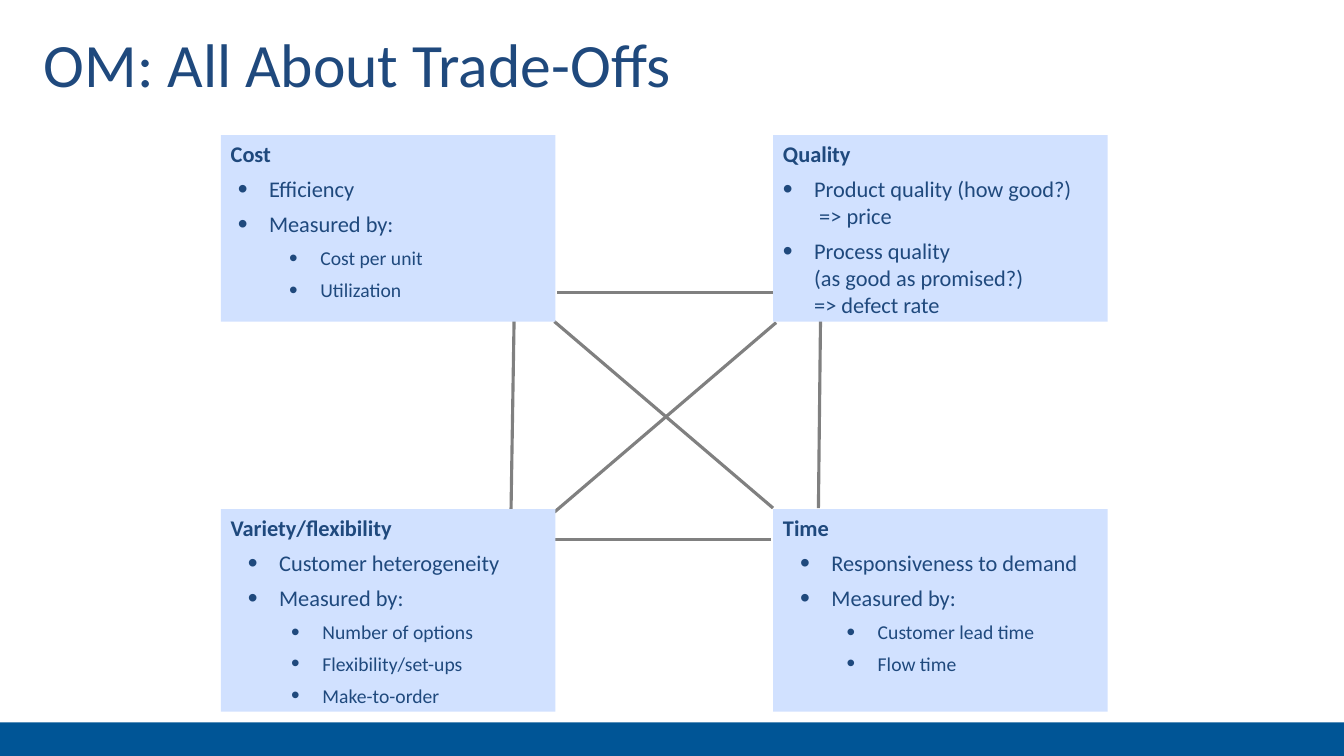
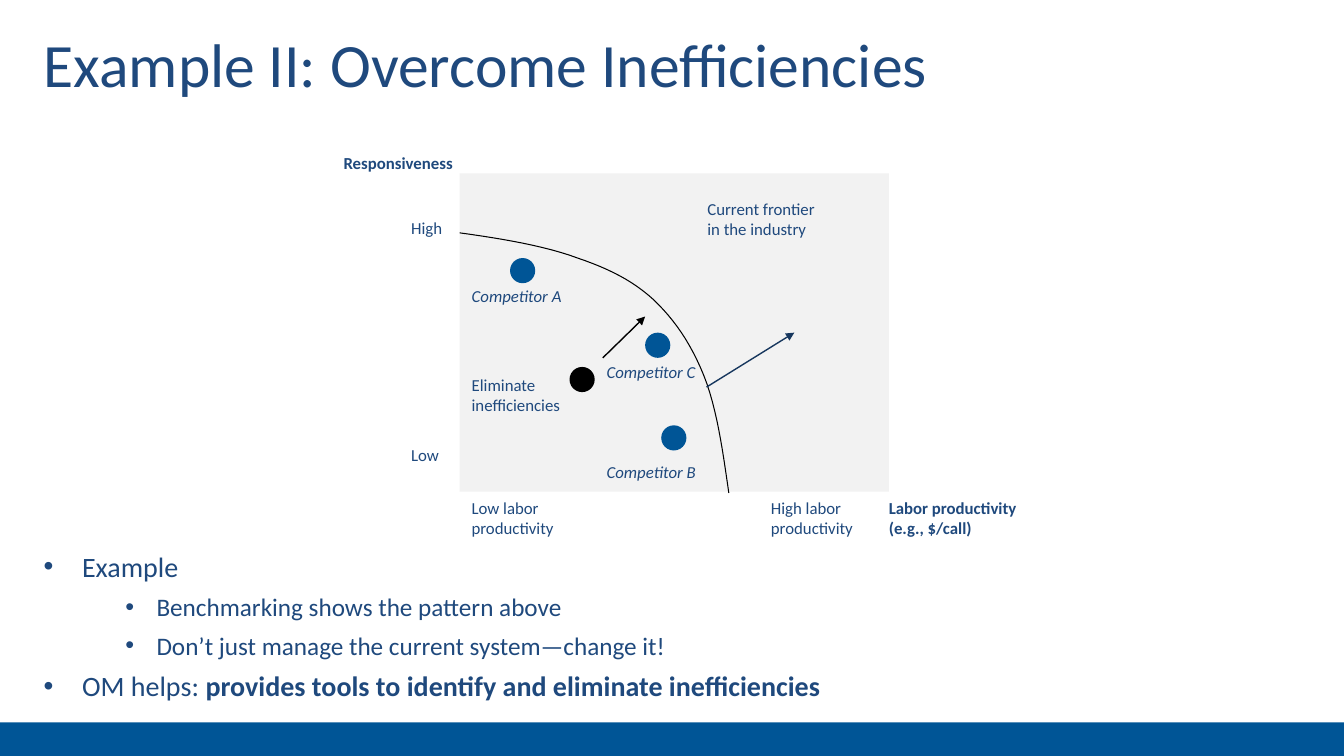
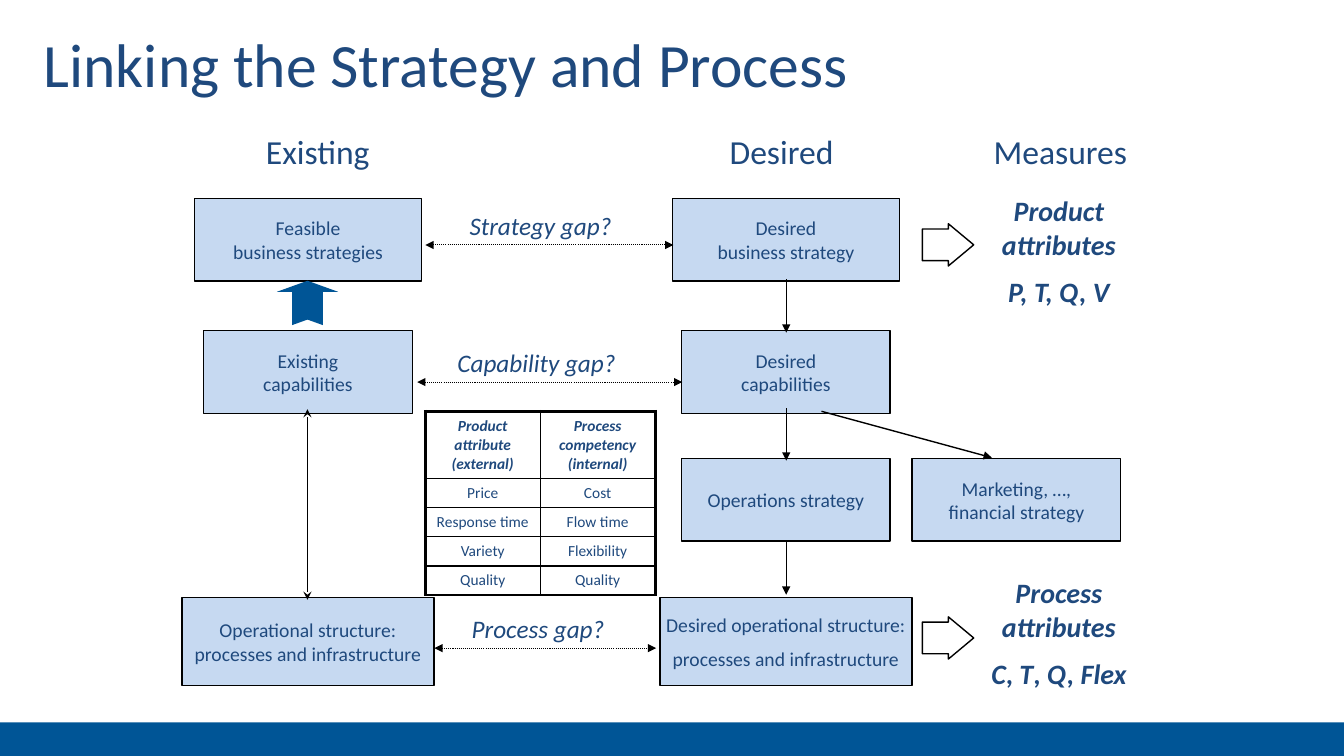
from lxml import etree
from pptx import Presentation
from pptx.dml.color import RGBColor
from pptx.enum.dml import MSO_LINE
from pptx.enum.shapes import MSO_CONNECTOR, MSO_SHAPE
from pptx.enum.text import MSO_ANCHOR, MSO_AUTO_SIZE, PP_ALIGN
from pptx.oxml.ns import qn
from pptx.util import Pt

RECT, OVAL = MSO_SHAPE.RECTANGLE, MSO_SHAPE.OVAL
RIGHT_ARROW, NOTCHED = MSO_SHAPE.RIGHT_ARROW, MSO_SHAPE.NOTCHED_RIGHT_ARROW
STRAIGHT = MSO_CONNECTOR.STRAIGHT
DOTTED = MSO_LINE.ROUND_DOT
LEFT, CENTER = PP_ALIGN.LEFT, PP_ALIGN.CENTER
TOP, MIDDLE = MSO_ANCHOR.TOP, MSO_ANCHOR.MIDDLE
NO_FIT = MSO_AUTO_SIZE.NONE

FONT = "Calibri"
TEXT, BRAND, BLACK, WHITE = "1F497D", "005596", "000000", "FFFFFF"
PANEL, BOX, PLOT = "D1E1FF", "C6D9F1", "F2F2F2"
HANG = 22.3

rgb = RGBColor.from_string


def write(tf, text, size, bold=False, italic=False, align=LEFT, before=0,
          indent=None, hang=HANG, bullet_size=100):
    first = tf.paragraphs[0]
    p = tf.add_paragraph() if first.runs else first
    p.alignment = align
    p.space_before = Pt(before if p is not first else 0)
    if indent is not None:
        pPr = p._p.get_or_add_pPr()
        pPr.set("marL", str(Pt(indent)))
        pPr.set("indent", str(-Pt(hang)))
        etree.SubElement(pPr, qn("a:buSzPct")).set("val", str(bullet_size * 1000))
        etree.SubElement(pPr, qn("a:buFont")).set("typeface", "Arial")
        etree.SubElement(pPr, qn("a:buChar")).set("char", "•")
    runs = [(text, bold, italic)] if isinstance(text, str) else text
    for words, b, i in runs:
        for n, line in enumerate(words.split("\n")):
            if n:
                p.add_line_break()
            r = p.add_run()
            r.text = line
            r.font.name = FONT
            r.font.size = Pt(size)
            r.font.bold = b
            r.font.italic = i
            r.font.color.rgb = rgb(TEXT)


def link(s, x1, y1, x2, y2, color=BLACK, width=1, dash=None, head=None, tail=None):
    sp = s.shapes.add_connector(STRAIGHT, Pt(x1), Pt(y1), Pt(x2), Pt(y2))
    sp.line.color.rgb = rgb(color)
    sp.line.width = Pt(width)
    if dash:
        sp.line.dash_style = dash
    spPr = sp.element.spPr
    for tag, kind in (("a:headEnd", head), ("a:tailEnd", tail)):
        if kind:
            etree.SubElement(spPr.find(qn("a:ln")), qn(tag)).set("type", kind)
    etree.SubElement(spPr, qn("a:effectLst"))


prs = Presentation()
prs.slide_width, prs.slide_height = Pt(960), Pt(540)

slides = []
for title, layout in (
    ("OM: All About Trade-Offs", 5),
    ("Example II: Overcome Inefficiencies", 1),
    ("Linking the Strategy and Process", 5),
):
    s = prs.slides.add_slide(prs.slide_layouts[layout])
    sp = s.shapes.title
    sp.left, sp.top, sp.width, sp.height = Pt(24), Pt(12), Pt(912), Pt(66)
    sp.text_frame.auto_size = NO_FIT
    sp.text_frame.vertical_anchor = MIDDLE
    write(sp.text_frame, title, 44)
    slides.append(s)
tradeoffs, frontier, strategy = slides

band = tradeoffs.shapes.add_shape(RECT, Pt(0), Pt(516), Pt(960), Pt(24))
band.fill.solid()
band.fill.fore_color.rgb = rgb(BRAND)
band.line.fill.background()
band.shadow.inherit = False
band.element.nvSpPr.cNvPr.id = 20
prs.slide_master.shapes.element.insert(2, band.element)

for ends in (
    (367.2, 229, 365, 366.5),
    (586.1, 228.2, 584.6, 362.9),
    (550.8, 385.2, 396.7, 385.2),
    (553, 208.8, 398.2, 208.8),
    (552.2, 362.9, 396, 229.7),
    (554.4, 230.4, 396, 365.8),
):
    link(tradeoffs, *ends, color="808080", width=2.25)

for x, y, h, heading, indent, points, sub_indent, subpoints in (
    (157.7, 96.5, 133.2, "Cost", 27.4, ("Efficiency", "Measured by:"),
     64.1, ("Cost per unit", "Utilization")),
    (552.2, 96.5, 133.2, "Quality", 22.3,
     ("Product quality (how good?)\n => price",
      "Process quality\n(as good as promised?)\n=> defect rate"), 0, ()),
    (157.7, 363.6, 144.7, "Variety/flexibility", 34.6,
     ("Customer heterogeneity", "Measured by:"),
     65.5, ("Number of options", "Flexibility/set-ups", "Make-to-order")),
    (552.2, 363.6, 144.7, "Time", 34.6, ("Responsiveness to demand", "Measured by:"),
     67.7, ("Customer lead time", "Flow time")),
):
    sp = tradeoffs.shapes.add_shape(RECT, Pt(x), Pt(y), Pt(239), Pt(h))
    sp.shadow.inherit = False
    sp.fill.solid()
    sp.fill.fore_color.rgb = rgb(PANEL)
    sp.line.fill.background()
    tf = sp.text_frame
    tf.word_wrap = True
    tf.vertical_anchor = TOP
    write(tf, heading, 16, bold=True)
    for point in points:
        write(tf, point, 16, before=6, indent=indent, bullet_size=125)
    for point in subpoints:
        write(tf, point, 14, before=6, indent=sub_indent, bullet_size=125)

for kind, x, y, w, h, color in (
    (RECT, 328.3, 123.8, 306.7, 227.5, PLOT),
    (OVAL, 364.3, 184.3, 18, 18, BRAND),
    (OVAL, 460.8, 237.6, 18, 18, BRAND),
    (OVAL, 472.3, 303.8, 18, 18, BRAND),
    (OVAL, 406.8, 262.1, 18, 18, BLACK),
):
    sp = frontier.shapes.add_shape(kind, Pt(x), Pt(y), Pt(w), Pt(h))
    sp.shadow.inherit = False
    sp.fill.solid()
    sp.fill.fore_color.rgb = rgb(color)
    sp.line.fill.background()

knots = [
    (328.3, 166.3), (359.3, 170.6), (389.5, 175.7), (412.6, 184.3),
    (435.6, 192.2), (451.4, 200.2), (466.6, 213.8),
    (481.7, 228.2), (493.2, 244.8), (502.6, 267.8),
    (511.9, 290.9), (516.2, 321.1), (520.6, 352.1),
]
STEPS = 12
curve = []
for k in range(0, len(knots) - 1, 3):
    for n in range(1, STEPS + 1):
        t = n / STEPS
        weights = ((1 - t) ** 3, 3 * t * (1 - t) ** 2, 3 * t * t * (1 - t), t ** 3)
        curve.append(tuple(
            Pt(sum(wt * pt[axis] for wt, pt in zip(weights, knots[k:k + 4])))
            for axis in (0, 1)
        ))
builder = frontier.shapes.build_freeform(Pt(knots[0][0]), Pt(knots[0][1]))
builder.add_line_segments(curve, close=False)
sp = builder.convert_to_shape()
sp.shadow.inherit = False
sp.fill.background()
sp.line.color.rgb = rgb(BLACK)
sp.line.width = Pt(0.75)

link(frontier, 430.6, 255.6, 460.8, 226.1, tail="triangle")
link(frontier, 504.7, 276.5, 567.4, 237.6, color="17375E", tail="triangle")

sp = frontier.placeholders[1]
sp.left, sp.top, sp.width, sp.height = Pt(24), Pt(388.8), Pt(912), Pt(121.7)
tf = sp.text_frame
tf.auto_size = NO_FIT
write(tf, "Example", 20, indent=27.4, hang=27.4)
for point in (
    "Benchmarking shows the pattern above",
    "Don’t just manage the current system—change it!",
):
    write(tf, point, 18, before=6, indent=80.6)
write(tf, [("OM helps: ", False, False),
           ("provides tools to identify and eliminate inefficiencies", True, False)],
      20, before=6, indent=27.4, hang=27.4)

EXISTING, DESIRED, MARKETING = 220, 561.4, 726.1
for cx, y, w, h, lines, before in (
    (EXISTING, 141.8, 162, 59, ("Feasible", "business strategies"), 0),
    (EXISTING, 236.2, 149, 59, ("Existing", "capabilities"), 0),
    (EXISTING, 427, 180, 62.6, ("Operational structure:", "processes and infrastructure"), 0),
    (DESIRED, 141.8, 162, 59, ("Desired", "business strategy"), 0),
    (DESIRED, 236.2, 149, 59, ("Desired", "capabilities"), 0),
    (DESIRED, 327.6, 149, 59, ("Operations strategy",), 0),
    (DESIRED, 427, 180, 62.6,
     ("Desired operational structure:", "processes and infrastructure"), 7),
    (MARKETING, 327.6, 149, 59, ("Marketing, …,", "financial strategy"), 0),
):
    sp = strategy.shapes.add_shape(RECT, Pt(cx - w / 2), Pt(y), Pt(w), Pt(h))
    sp.shadow.inherit = False
    sp.fill.solid()
    sp.fill.fore_color.rgb = rgb(BOX)
    sp.line.color.rgb = rgb(BLACK)
    sp.line.width = Pt(1)
    tf = sp.text_frame
    tf.word_wrap = True
    tf.vertical_anchor = MIDDLE
    tf.margin_left = tf.margin_right = 0
    for line in lines:
        write(tf, line, 14, align=CENTER, before=before)

for x1, y1, x2, y2 in (
    (561.6, 199.4, 561.6, 237.6),
    (561.6, 291.6, 561.6, 329),
    (561.6, 386.6, 561.6, 424.8),
    (586.8, 293.8, 708.5, 326.9),
):
    link(strategy, x1, y1, x2, y2, tail="triangle")
link(strategy, 219.6, 292.3, 219.6, 428.4, head="stealth", tail="stealth")
for x1, x2, y in ((303.8, 481, 175), (298, 487.4, 272.9), (310.3, 468.7, 463)):
    link(strategy, x1, y, x2, y, width=0.75, dash=DOTTED, head="triangle", tail="triangle")

for kind, x, y, w, h, turn, adjust, fill, outline in (
    (RIGHT_ARROW, 658.8, 159.8, 36.7, 30.2, 0, (0.75, 0.6), WHITE, BLACK),
    (RIGHT_ARROW, 658.8, 440.6, 36.7, 30.2, 0, (0.75, 0.6), WHITE, BLACK),
    (NOTCHED, 203.8, 194.4, 31.7, 43.9, 270, (0.5, 0.25), BRAND, None),
):
    sp = strategy.shapes.add_shape(kind, Pt(x), Pt(y), Pt(w), Pt(h))
    sp.shadow.inherit = False
    sp.rotation = turn
    sp.adjustments[0], sp.adjustments[1] = adjust
    sp.fill.solid()
    sp.fill.fore_color.rgb = rgb(fill)
    if outline:
        sp.line.color.rgb = rgb(outline)
        sp.line.width = Pt(1)
    else:
        sp.line.fill.background()

for y, heading, letters in (
    (134.6, "Product attributes", "P, T, Q, V"),
    (407.5, "Process attributes",
     [("C", True, True), (", ", True, False), ("T", True, True),
      (", ", True, False), ("Q, Flex", True, True)]),
):
    tf = strategy.shapes.add_textbox(Pt(694.4), Pt(y), Pt(124), Pt(97.2)).text_frame
    tf.word_wrap = True
    tf.auto_size = NO_FIT
    for text in (heading, letters):
        write(tf, text, 20, bold=True, italic=True, align=CENTER, before=10)

for s, x, y, w, text, size, bold, italic in (
    (frontier, 238.3, 105.8, 93.6, "Responsiveness", 12, True, False),
    (frontier, 286.6, 151.9, 38.9, "High", 12, False, False),
    (frontier, 286.6, 313.9, 38.9, "Low", 12, False, False),
    (frontier, 329.8, 264.2, 82.8, "Eliminate\ninefficiencies", 12, False, False),
    (frontier, 498.2, 138.2, 91.4, "Current frontier\nin the industry", 12, False, False),
    (frontier, 329.8, 352.1, 74.9, "Low labor\nproductivity", 12, False, False),
    (frontier, 543.6, 352.1, 74.9, "High labor\nproductivity", 12, False, False),
    (frontier, 627.8, 352.1, 114.5, "Labor productivity\n(e.g., $/call)", 12, True, False),
    (frontier, 329.8, 200.2, 80.6, "Competitor A", 12, False, True),
    (frontier, 426.2, 326.2, 80.6, "Competitor B", 12, False, True),
    (frontier, 426.2, 254.9, 80.6, "Competitor C", 12, False, True),
    (strategy, 182.9, 90, 105, "Existing", 24, False, False),
    (strategy, 514.1, 90, 104, "Desired", 24, False, False),
    (strategy, 702.7, 90, 127, "Measures", 24, False, False),
    (strategy, 328.3, 146.9, 139, "Strategy gap?", 18, False, True),
    (strategy, 319.7, 244.8, 151, "Capability gap?", 18, False, True),
    (strategy, 329.8, 434.2, 137, "Process gap?", 18, False, True),
):
    lines = text.split("\n")
    h = 7.2 + 1.2 * size * len(lines)
    tf = s.shapes.add_textbox(Pt(x), Pt(y), Pt(w), Pt(h)).text_frame
    tf.word_wrap = True
    tf.auto_size = NO_FIT
    tf.margin_right = 0
    for line in lines:
        write(tf, line, size, bold, italic)

rows = (
    ("Product attribute (external)", "Process competency (internal)"),
    ("Price", "Cost"),
    ("Response time", "Flow time"),
    ("Variety", "Flexibility"),
    ("Quality", "Quality"),
)
table = strategy.shapes.add_table(
    len(rows), 2, Pt(303.8), Pt(293.8), Pt(164.2), Pt(130.8)).table
table.first_row = table.horz_banding = False
for col in table.columns:
    col.width = Pt(82.1)
for i, row in enumerate(rows):
    table.rows[i].height = Pt(20.7 if i else 48)
    for j, text in enumerate(row):
        cell = table.cell(i, j)
        cell.vertical_anchor = TOP
        cell.margin_top = cell.margin_bottom = Pt(3.6)
        tcPr = cell._tc.get_or_add_tcPr()
        outer = (("L", j == 0), ("R", j == 1), ("T", i == 0), ("B", i == len(rows) - 1))
        for side, edge in outer:
            ln = etree.SubElement(tcPr, qn("a:ln" + side))
            ln.set("w", str(Pt(2.25 if edge else 1)))
            fill = etree.SubElement(ln, qn("a:solidFill"))
            etree.SubElement(fill, qn("a:srgbClr")).set("val", BLACK)
        cell.fill.background()
        write(cell.text_frame, text, 11, bold=i == 0, italic=i == 0, align=CENTER)

prs.save("out.pptx")
